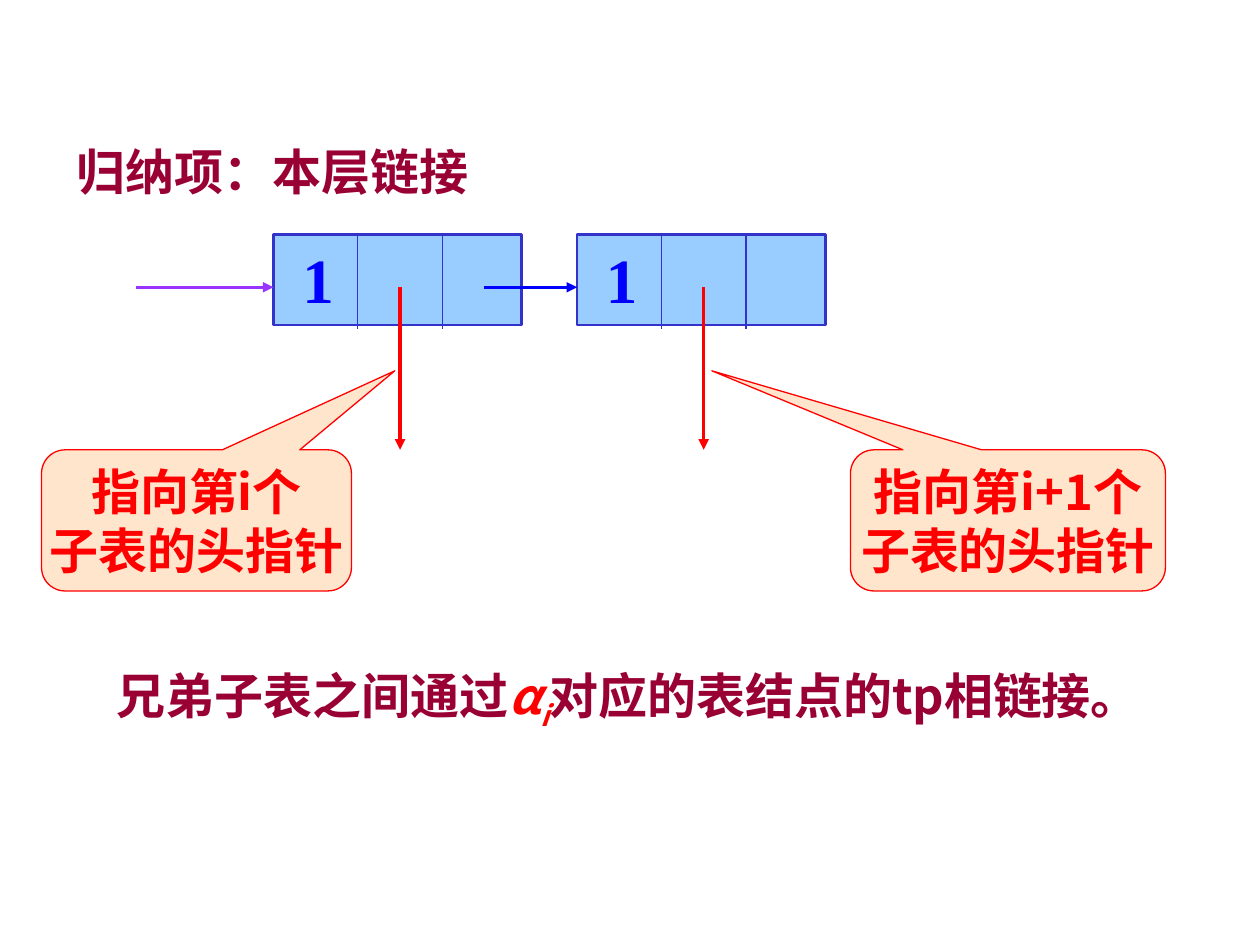
from lxml import etree
from pptx import Presentation
from pptx.dml.color import RGBColor
from pptx.enum import shapes, text
from pptx.oxml.ns import qn
from pptx.util import Inches, Pt

WINE = RGBColor(0x99, 0x00, 0x33)
RED = RGBColor(0xFF, 0x00, 0x00)
BLUE = RGBColor(0x00, 0x00, 0xFF)
NAVY = RGBColor(0x33, 0x33, 0xCC)
SKY = RGBColor(0x99, 0xCC, 0xFF)
PEACH = RGBColor(0xFF, 0xCC, 0x99)
VIOLET = RGBColor(0x99, 0x33, 0xFF)
SANS, SERIF = "Noto Sans CJK SC", "Times New Roman"
TOP, MID, LOW = 1.86, 2.28, 3.57
NODES = (2.17, 4.58)
NODE_W, NODE_H = 1.97, 0.72
CELL = 0.67


def style(run, size, color, face=SANS):
    """Make a run bold in the given size, colour and typeface."""
    font = run.font
    font.size, font.bold, font.name = Pt(size), True, face
    font.color.rgb = color
    etree.SubElement(font._element, qn("a:ea")).set("typeface", face)


def place(shape, box):
    """Move a shape to a box given in inches."""
    shape.left, shape.top, shape.width, shape.height = map(Inches, box)


def line(slide, start, end, color, width, arrow=False):
    """Draw a straight line, with an arrowhead if asked."""
    link = slide.shapes.add_connector(
        shapes.MSO_CONNECTOR.STRAIGHT, *map(Inches, start + end))
    link.line.color.rgb = color
    link.line.width = Pt(width)
    if arrow:
        etree.SubElement(link.line._get_or_add_ln(), qn("a:tailEnd")).set("type", "triangle")
    etree.SubElement(link._element.spPr, qn("a:effectLst"))


def block(slide, kind, box, fill, edge, width):
    """Add a filled and outlined shape without shadow."""
    shape = slide.shapes.add_shape(kind, *map(Inches, box))
    shape.shadow.inherit = False
    shape.fill.solid()
    shape.fill.fore_color.rgb = fill
    shape.line.color.rgb = edge
    shape.line.width = Pt(width)
    return shape


def title(slide, box):
    """Set the heading in the title placeholder."""
    head = slide.shapes.title
    place(head, box)
    frame = head.text_frame
    frame.text = "归纳项：本层链接"
    frame.vertical_anchor = text.MSO_ANCHOR.TOP
    para = frame.paragraphs[0]
    para.alignment = text.PP_ALIGN.LEFT
    style(para.runs[0], 28, WINE)


def node(slide, box):
    """Draw a three-cell list node and its pointer down to a sublist."""
    left, top, _, _ = box
    cell = block(slide, shapes.MSO_SHAPE.RECTANGLE, box, SKY, NAVY, 1.5)
    frame = cell.text_frame
    frame.text = "1"
    frame.margin_left = Inches(0.23)
    frame.vertical_anchor = text.MSO_ANCHOR.TOP
    para = frame.paragraphs[0]
    para.alignment = text.PP_ALIGN.LEFT
    style(para.runs[0], 36, BLUE, SERIF)
    for step in (1, 2):
        x = left + step * CELL
        line(slide, (x, top), (x, top + 0.75), NAVY, 0.75)
    x = left + 1.5 * CELL
    line(slide, (x, MID), (x, LOW), RED, 2, True)


def callout(slide, box, tip, label):
    """Add a half-transparent callout whose tip is relative to its box."""
    note = block(slide, shapes.MSO_SHAPE.ROUNDED_RECTANGULAR_CALLOUT,
                 box, PEACH, RED, 0.75)
    note.adjustments[0], note.adjustments[1] = tip
    tint = note._element.spPr.find(qn("a:solidFill"))[0]
    etree.SubElement(tint, qn("a:alpha")).set("val", "50000")
    frame = note.text_frame
    frame.text = label
    frame.word_wrap = False
    frame.vertical_anchor = text.MSO_ANCHOR.MIDDLE
    for para in frame.paragraphs:
        para.alignment = text.PP_ALIGN.CENTER
        style(para.runs[0], 28, RED)


def summary(slide, box):
    """Write the closing sentence with its subscripted symbol."""
    frame = slide.shapes.add_textbox(*map(Inches, box)).text_frame
    frame.word_wrap = True
    para = frame.paragraphs[0]
    for words, color in (("兄弟子表之间通过", WINE), ("α", RED), ("i", RED),
                         ("对应的表结点的tp相链接。", WINE)):
        run = para.add_run()
        run.text = words
        style(run, 28, color)
        run.font.italic = color == RED
    para.runs[2].font._element.set("baseline", "-25000")


def main():
    """Build and save the slide."""
    deck = Presentation()
    deck.slide_width, deck.slide_height = Inches(10), Inches(7.5)
    slide = deck.slides.add_slide(deck.slide_layouts[5])
    title(slide, (0.51, 1.07, 6.78, 0.57))
    for left in NODES:
        node(slide, (left, TOP, NODE_W, NODE_H))
    first, second = NODES
    line(slide, (1.08, MID), (first, MID), VIOLET, 2, True)
    line(slide, (first + 2.5 * CELL, MID), (second, MID), BLUE, 2, True)
    callout(slide, (6.75, LOW, 2.5, 1.12), (-0.94, -1.06), "指向第i+1个\n子表的头指针")
    callout(slide, (0.33, LOW, 2.46, 1.12), (0.64, -1.06), "指向第i个\n子表的头指针")
    summary(slide, (0.83, 5.23, 8.65, 0.57))
    deck.save("out.pptx")


if __name__ == "__main__":
    main()
